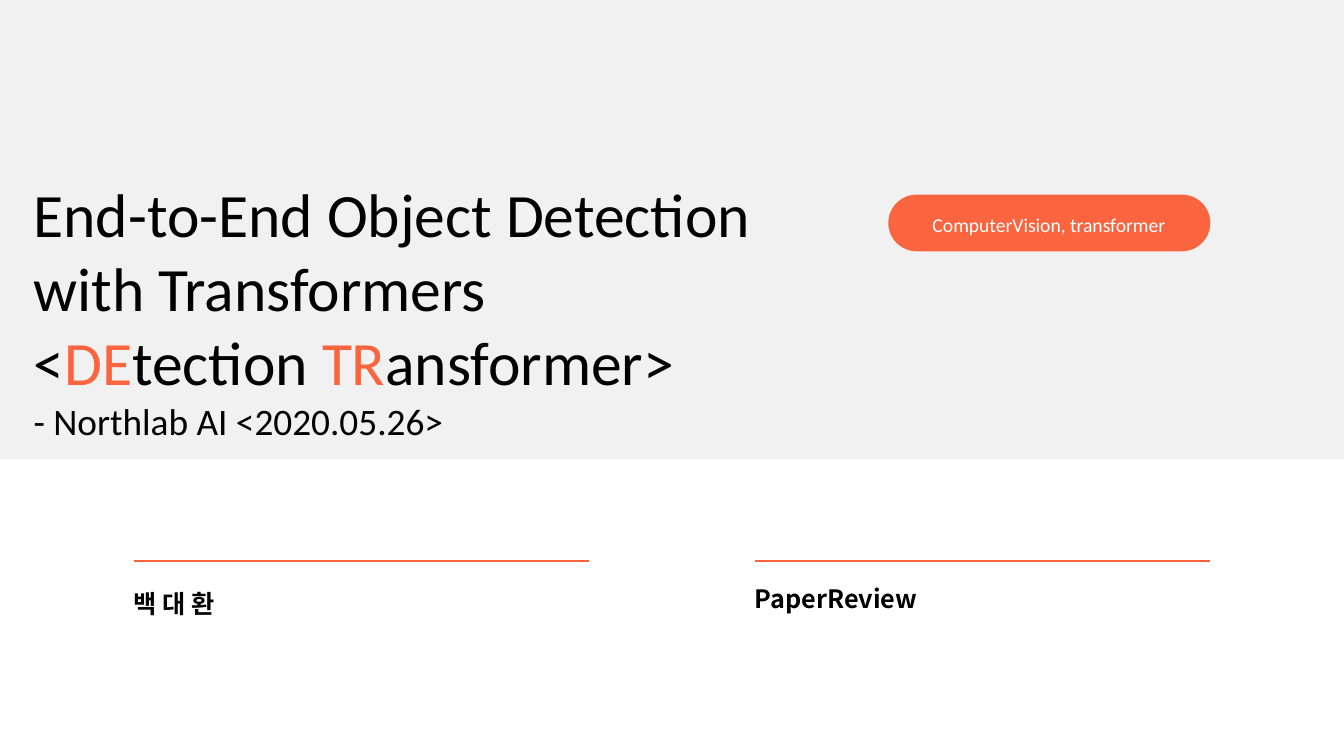
"""Build the title slide of a paper review on object detection with transformers."""
import pptx
import pptx.dml.color
import pptx.enum.shapes
import pptx.enum.text
import pptx.oxml
import pptx.oxml.ns
import pptx.util

PX = 9525
COLORS = {"band": "F1F1F1", "accent": "FA643F", "text": "000000", "white": "FFFFFF"}
SHAPES = pptx.enum.shapes.MSO_SHAPE
LATIN, KOREAN = "Calibri", "Noto Sans CJK KR"


def rgb(name):
    return pptx.dml.color.RGBColor.from_string(COLORS[name])


def add_text(s, box, paragraphs, font, bold=False, spacing=None, align=None):
    tf = s.shapes.add_textbox(*[v * PX for v in box]).text_frame
    tf.word_wrap = True
    tf.margin_left = tf.margin_top = tf.margin_right = tf.margin_bottom = 0
    for i, (size, runs) in enumerate(paragraphs):
        p = tf.paragraphs[0] if i == 0 else tf.add_paragraph()
        p.alignment = align
        if spacing:
            p.line_spacing = pptx.util.Pt(spacing)
        for text, color in runs:
            r = p.add_run()
            r.text = text
            r.font.size = pptx.util.Pt(size)
            r.font.bold = bold
            r.font.name = font
            r.font.color.rgb = rgb(color)
            ea = pptx.oxml.parse_xml(f'<a:ea {pptx.oxml.ns.nsdecls("a")} typeface="{font}"/>')
            r.font._element.find(pptx.oxml.ns.qn("a:latin")).addnext(ea)


prs = pptx.Presentation()
prs.slide_width, prs.slide_height = 1920 * PX, 1080 * PX
s = prs.slides.add_slide(prs.slide_layouts[6])

for kind, box, color in [
    (SHAPES.RECTANGLE, (0, 0, 1920, 656), "band"),
    (SHAPES.ROUNDED_RECTANGLE, (1269, 278, 460, 81), "accent"),
]:
    sp = s.shapes.add_shape(kind, *[v * PX for v in box])
    sp.shadow.inherit = False
    sp.fill.solid()
    sp.fill.fore_color.rgb = rgb(color)
    sp.line.fill.background()
    if kind == SHAPES.ROUNDED_RECTANGLE:
        sp.adjustments[0] = 0.5

add_text(s, (1311, 299, 375, 37), [(21, [("ComputerVision, transformer", "white")])],
         LATIN, spacing=29.4, align=pptx.enum.text.PP_ALIGN.CENTER)

add_text(s, (48, 252, 1200, 385), [
    (66, [("End-to-End Object Detection with Transformers", "text")]),
    (66, [("<", "text"), ("DE", "accent"), ("tection ", "text"),
          ("TR", "accent"), ("ansformer>", "text")]),
    (40, [("- Northlab AI <2020.05.26>", "text")]),
], LATIN)

for left, height, label, spacing in [(191, 100, "백 대 환", 37.8), (1078, 43, "PaperReview", None)]:
    rule = s.shapes.add_connector(pptx.enum.shapes.MSO_CONNECTOR.STRAIGHT,
                                  left * PX, 801 * PX, (left + 651) * PX, 801 * PX)
    rule.line.color.rgb = rgb("accent")
    rule.line.width = pptx.util.Pt(2)
    rule._element.spPr.append(
        pptx.oxml.parse_xml(f'<a:effectLst {pptx.oxml.ns.nsdecls("a")}/>'))
    add_text(s, (left, 833, 651, height), [(27, [(label, "text")])], KOREAN,
             bold=True, spacing=spacing)

prs.save("out.pptx")
